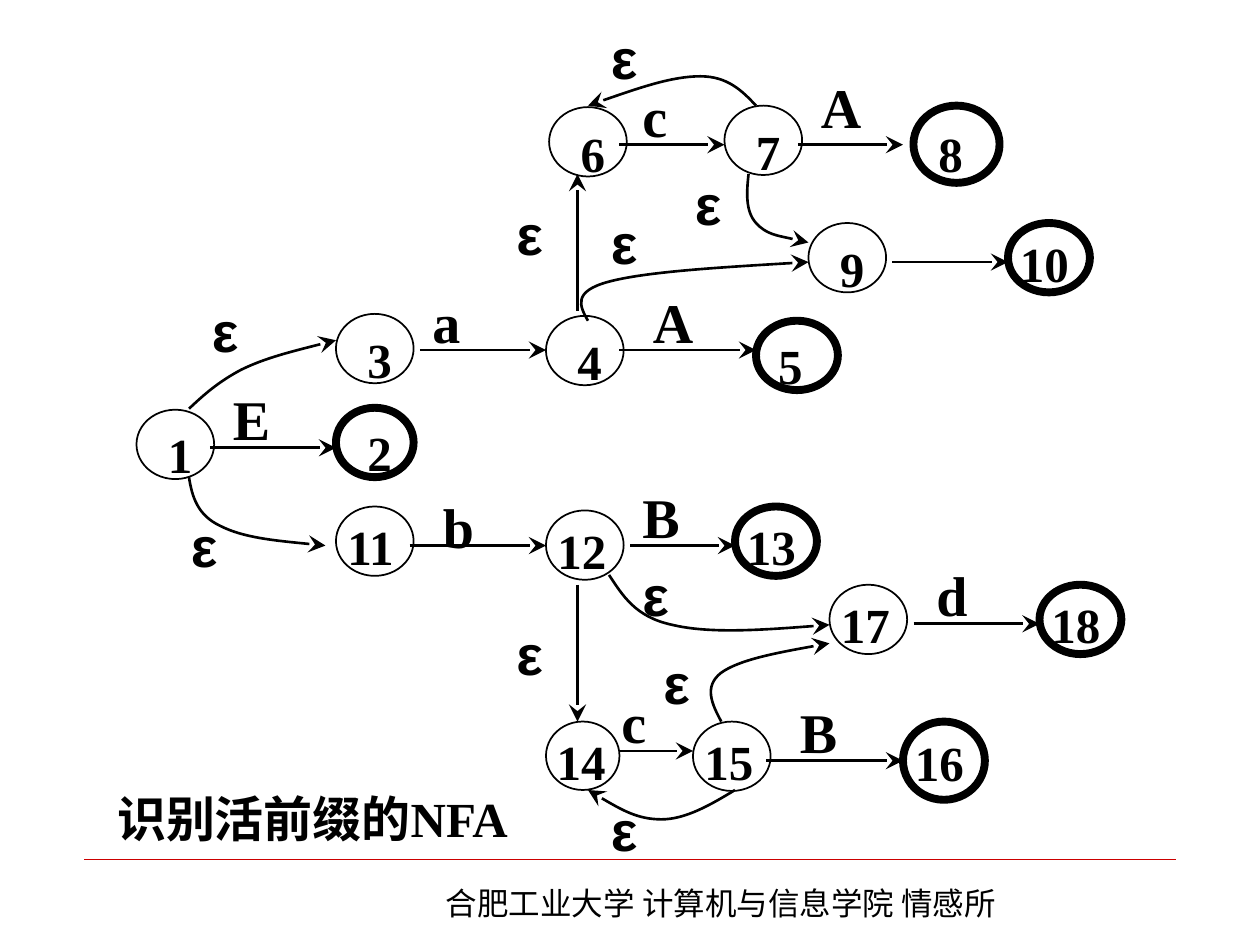
from pptx import Presentation
from pptx.dml.color import RGBColor
from pptx.enum.shapes import MSO_CONNECTOR, MSO_SHAPE
from pptx.enum.text import MSO_ANCHOR, MSO_AUTO_SIZE, PP_ALIGN
from pptx.oxml.ns import qn
from pptx.util import Inches, Pt
from lxml.etree import SubElement

WIDE, HIGH = 10, 7.5
COLS, ROWS = 120, 79
SERIF, SANS, HAN = "Times New Roman", "Arial", "Noto Sans CJK SC"
INK, RULE = "000000", "CC0000"

# State: name, column, row, columns wide, rows high, left inset, top inset
PLAIN = [
    ("6", 52.3, 9.15, 7.4, 7.1, 0.16, 0.05), ("7", 69, 9, 7.4, 7.1, 0.16, 0.05),
    ("9", 77, 21, 7.4, 7.1, 0.16, 0.04), ("4", 52, 30.5, 7.4, 7.1, 0.16, 0.04),
    ("3", 32, 30.3, 7.4, 7.1, 0.16, 0.04), ("1", 13, 40.1, 7.4, 7.1, 0.16, 0.04),
    ("11", 32, 50, 7.4, 7.1, 0, 0), ("12", 52, 50.4, 7.4, 7.1, 0, 0),
    ("14", 52, 72, 7, 7, 0, 0), ("15", 66, 72, 7.4, 7.1, 0, 0),
    ("17", 79, 58, 7.4, 7.1, 0, 0),
]
FINAL = [
    ("8", 87, 9, 8.2, 7.9, 0.1, 0.05), ("10", 96, 21, 7.8, 7.1, 0, 0),
    ("5", 72, 31, 7.8, 7.1, 0.08, 0.04), ("2", 32, 39.9, 7.4, 7.1, 0.16, 0.04),
    ("13", 70, 50, 7.8, 7.1, 0, 0), ("16", 86, 72, 7.8, 8, 0, 0),
    ("18", 99, 58, 7.8, 7.1, 0, 0),
]
# Straight moves: start column and row, end column and row
MOVES = [
    (20, 44, 32, 44), (40, 34, 52, 34), (59, 34, 72, 34), (39, 54, 52, 54),
    (60, 54, 70, 54), (87, 62, 99, 62), (73, 76, 86, 76), (59, 13, 69, 13),
    (76, 13, 86, 13), (55, 30, 55, 16), (55, 58, 55, 72), (85, 25, 96, 25),
    (59, 75, 66, 75),
]
# Curved moves: a start, then two control points and an end for each arc
CURVES = [
    [(18, 40), (19.3, 38.7), (20.7, 37.3), (23, 36), (25.3, 34.8), (28.7, 33.9), (32, 33)],
    [(18, 47), (18.3, 49), (18.8, 50.9), (21, 52), (23.2, 53.2), (27.1, 53.6), (31, 54)],
    [(58, 57), (59.3, 59.1), (60.5, 61.3), (64, 62.1), (67.5, 63), (73.2, 62.6), (79, 62.1)],
    [(70, 79), (67.7, 80.5), (65.3, 82), (63, 82), (60.7, 82), (58.3, 80.5), (56, 79)],
    [(68.7, 72), (67.8, 70.2), (67, 68.4), (68.7, 67), (70.4, 65.7), (74.7, 64.8), (79, 64)],
    [(71.3, 16), (71.1, 17.9), (71, 19.8), (72, 21), (73, 22.2), (75, 22.5), (77, 23)],
    [(56, 31), (55.2, 29.5), (54.5, 28), (58, 27), (61.5, 26), (69.2, 25.5), (77, 25)],
    [(72, 9), (70.7, 7.5), (69.3, 6), (66.7, 6), (64, 6), (60, 7.5), (56, 9)],
]
# Labels: text, then the column and row of each place
LABELS = {
    "ε": [(17, 50), (57, 0), (19, 28), (48, 18), (65, 15),
          (57, 19), (62, 64), (48, 61), (57, 79), (60, 55)],
    "a": [(40, 27)], "A": [(61, 27), (77, 5)], "E": [(21, 37)], "b": [(41, 48)],
    "B": [(60, 47), (75, 69)], "c": [(60, 6), (58, 68)], "d": [(88, 55)],
}


def tint(code):
    return RGBColor.from_string(code)


def write(shape, text, size, face, bold=True, pads=(0.1, 0.05, 0.1, 0.05),
          anchor=MSO_ANCHOR.MIDDLE, wrap=False):
    frame = shape.text_frame
    frame.text = text
    frame.word_wrap = wrap
    frame.auto_size = MSO_AUTO_SIZE.NONE
    frame.vertical_anchor = anchor
    (frame.margin_left, frame.margin_top,
     frame.margin_right, frame.margin_bottom) = map(Inches, pads)
    para = frame.paragraphs[0]
    para.alignment = PP_ALIGN.LEFT
    font = para.runs[0].font
    font.size, font.name, font.bold = Pt(size), face, bold
    font.color.rgb = tint(INK)
    SubElement(para.runs[0]._r.rPr, qn("a:ea"), typeface=HAN)


def stroke(shape, width, code=INK, tip=False):
    shape.line.color.rgb = tint(code)
    shape.line.width = Pt(width)
    if tip:
        SubElement(shape.line._get_or_add_ln(), qn("a:tailEnd"),
                   type="stealth", w="lg", len="lg")


def link(slide, start, end, width, code=INK, tip=False):
    line = slide.shapes.add_connector(MSO_CONNECTOR.STRAIGHT, *start, *end)
    stroke(line, width, code, tip)
    SubElement(line._element.spPr, qn("a:effectLst"))


def bend(slide, points):
    """Draw a curved arrow: every three points after the first make one arc."""
    pen = slide.shapes.build_freeform(*points[0])
    pen.add_line_segments(points[1:], close=False)
    shape = pen.convert_to_shape()
    shape.shadow.inherit = False
    shape.fill.background()
    stroke(shape, 1.5, tip=True)
    steps = list(shape._element.iter(qn("a:lnTo")))
    for first, *rest in zip(*[iter(steps)] * 3):
        first.tag = qn("a:cubicBezTo")
        for step in rest:
            first.append(step[0])
            step.getparent().remove(step)


def graph(slide, left, top, width, height):
    def spot(col, row):
        return (Inches(left + col * width / COLS),
                Inches(top + row * height / ROWS))

    def span(cols, rows):
        return Inches(cols * width / COLS), Inches(rows * height / ROWS)

    # States
    for states, weight in ((PLAIN, 1), (FINAL, 4.5)):
        for name, col, row, cols, rows, inset, drop in states:
            node = slide.shapes.add_shape(
                MSO_SHAPE.OVAL, *spot(col, row), *span(cols, rows))
            node.shadow.inherit = False
            node.fill.background()
            stroke(node, weight)
            write(node, name, 28, SERIF, pads=(inset, drop, 0, 0),
                  anchor=MSO_ANCHOR.TOP, wrap=True)

    # Moves
    for col, row, col2, row2 in MOVES:
        link(slide, spot(col, row), spot(col2, row2), 1.5, tip=True)
    for curve in CURVES:
        bend(slide, [spot(*point) for point in curve])

    # Labels
    for text, places in LABELS.items():
        for place in places:
            box = slide.shapes.add_textbox(*spot(*place), *span(8, 8))
            write(box, text, 32, SANS if text == "ε" else SERIF)


def head(slide, left, top, width, height):
    title = slide.shapes.title
    title.left, title.top = Inches(left), Inches(top)
    title.width, title.height = Inches(width), Inches(height)
    write(title, "识别活前缀的NFA", 28, SERIF)


def foot(slide, left, top, width, height):
    link(slide, (Inches(left), Inches(top)),
         (Inches(left + width), Inches(top)), 0.25, RULE)
    box = slide.shapes.add_textbox(
        Inches(left + width * 0.32), Inches(top + height * 0.27),
        Inches(width * 0.55), Inches(height * 0.73))
    write(box, "合肥工业大学 计算机与信息学院 情感所", 18, HAN, bold=False, wrap=True)


def main():
    deck = Presentation()
    deck.slide_width, deck.slide_height = Inches(WIDE), Inches(HIGH)
    slide = deck.slides.add_slide(deck.slide_layouts[5])
    foot(slide, 0.67, 6.82, 8.66, 0.55)
    graph(slide, 0, 0.14, WIDE, 6.13)
    head(slide, 0.83, 6.1, 3.7, 0.79)
    deck.save("out.pptx")


if __name__ == "__main__":
    main()
